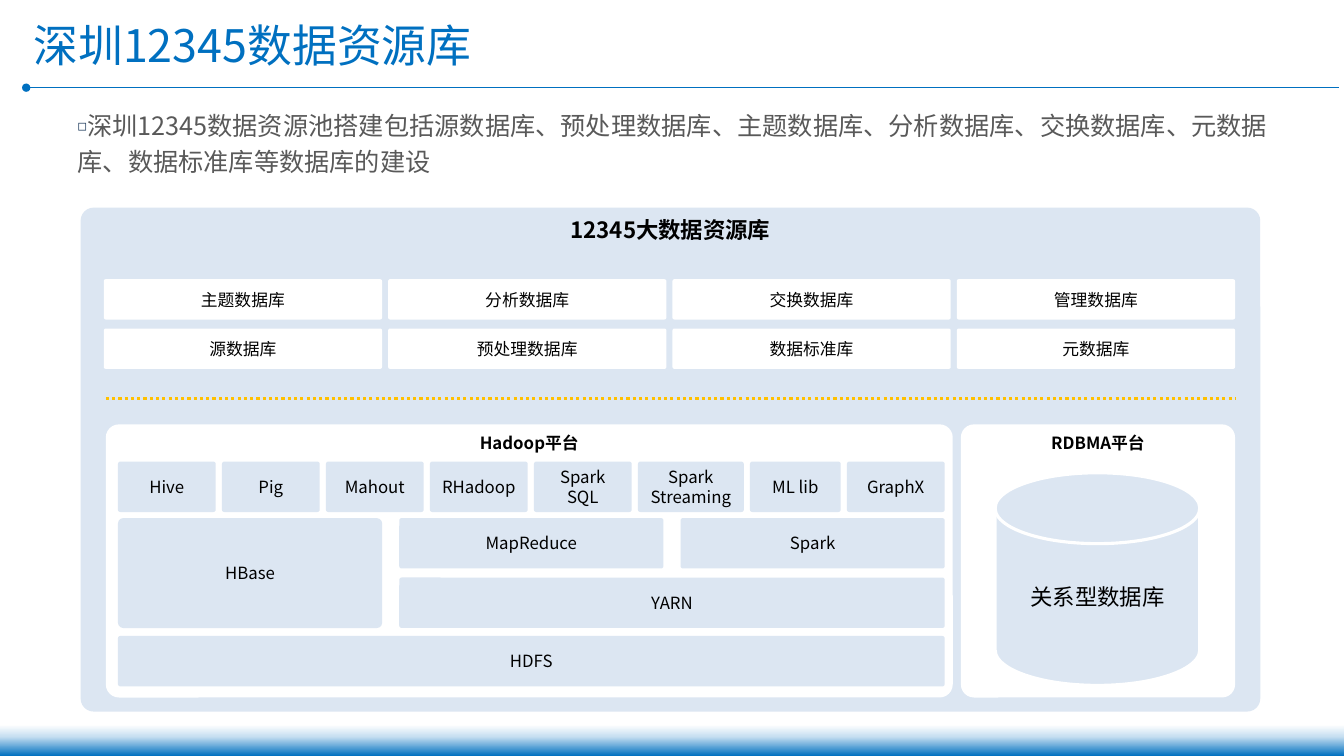
from itertools import accumulate

from lxml.etree import SubElement
from pptx import Presentation
from pptx.dml.color import RGBColor
from pptx.enum.dml import MSO_LINE
from pptx.enum.shapes import MSO_CONNECTOR, MSO_SHAPE
from pptx.enum.text import MSO_ANCHOR as Anchor, MSO_AUTO_SIZE, PP_ALIGN as Align
from pptx.oxml.ns import qn
from pptx.util import Inches, Pt

FONT = "Noto Sans CJK SC"
COLORS = {"blue": "0070C0", "sky": "C7DFF1", "pale": "DCE6F2", "white": "FFFFFF",
          "gold": "FFC000", "black": "000000", "gray": "595959", "navy": "254061"}

TITLE = "深圳12345数据资源库"
SUMMARY = ("深圳12345数据资源池搭建包括源数据库、预处理数据库、主题数据库、分析数据库、"
           "交换数据库、元数据库、数据标准库等数据库的建设")
PANEL = "12345大数据资源库"
DATABASES = [["主题数据库", "分析数据库", "交换数据库", "管理数据库"],
             ["源数据库", "预处理数据库", "数据标准库", "元数据库"]]
HADOOP, RDBMA = "Hadoop平台", "RDBMA平台"
TOOLS = [("Hive", 0.97), ("Pig", 0.97), ("Mahout", 0.97), ("RHadoop", 0.97),
         ("Spark\nSQL", 0.97), ("Spark Streaming", 1.05), ("ML lib", 0.9), ("GraphX", 0.97)]
# name, first column, columns spanned, first row, rows spanned
ENGINES = [("HBase", 0, 1, 1, 2), ("MapReduce", 1, 1, 1, 1), ("Spark", 2, 1, 1, 1),
           ("YARN", 1, 2, 2, 1), ("HDFS", 0, 3, 3, 1)]
RELATIONAL = "关系型数据库"

FOOTER_STOPS = [(0, "white"), (38, "sky"), (100, "blue")]
DATABASE_LEFT, DATABASE_TOP = 1.03, 2.77
DATABASE_WIDTH, DATABASE_HEIGHT = 2.76, 0.4
DATABASE_STEP_X, DATABASE_STEP_Y = 2.82, 0.49
STACK_LEFT, STACK_WIDTH = 1.17, 8.2
STACK_ROWS, STACK_HEIGHT = [4.58, 5.14, 5.73, 6.31], 0.5
ENGINE_WIDTH = 2.62
PLATFORM_TOP, PLATFORM_HEIGHT = 4.21, 2.71


def rgb(name):
    return RGBColor.from_string(COLORS[name])


def write(shape, text, size, color="black", bold=False, align=Align.CENTER,
          anchor=Anchor.MIDDLE):
    frame = shape.text_frame
    frame.word_wrap = True
    frame.auto_size = MSO_AUTO_SIZE.NONE
    frame.vertical_anchor = anchor
    for index, line in enumerate(text.split("\n")):
        paragraph = frame.add_paragraph() if index else frame.paragraphs[0]
        paragraph.alignment = align
        run = paragraph.add_run()
        run.text = line
        run.font.size, run.font.bold, run.font.name = Pt(size), bold, FONT
        run.font.color.rgb = rgb(color)
        SubElement(run.font._element, qn("a:ea"), typeface=FONT)


def place(shape, *box):
    shape.left, shape.top, shape.width, shape.height = map(Inches, box)


def add_box(slide, box, fill, kind=MSO_SHAPE.ROUNDED_RECTANGLE, corner=0.048):
    shape = slide.shapes.add_shape(kind, *map(Inches, box))
    shape.shadow.inherit = False
    shape.fill.solid()
    shape.fill.fore_color.rgb = rgb(fill)
    shape.line.fill.background()
    if kind == MSO_SHAPE.ROUNDED_RECTANGLE:
        shape.adjustments[0] = corner
    return shape


def add_rule(slide, left, right, y, color, width):
    rule = slide.shapes.add_connector(MSO_CONNECTOR.STRAIGHT, *map(Inches, (left, y, right, y)))
    rule.line.color.rgb = rgb(color)
    rule.line.width = Pt(width)
    SubElement(rule._element.spPr, qn("a:effectLst"))
    return rule


def add_footer(slide):
    footer = add_box(slide, (0, 7.19, 13.33, 0.31), "white", MSO_SHAPE.RECTANGLE)
    footer.fill.gradient()
    footer.fill.gradient_angle = 270
    stops = footer._element.spPr.find(".//" + qn("a:gsLst"))
    for stop in list(stops):
        stops.remove(stop)
    for percent, color in FOOTER_STOPS:
        stop = SubElement(stops, qn("a:gs"), pos=str(percent * 1000))
        SubElement(stop, qn("a:srgbClr"), val=COLORS[color])


def add_heading(slide):
    title, summary = slide.placeholders
    place(title, 0.23, 0.09, 12, 0.7)
    write(title, TITLE, 32, "blue", align=Align.LEFT)
    rule = add_rule(slide, 0.26, 13.28, 0.87, "blue", 0.5)
    SubElement(rule.line._get_or_add_ln(), qn("a:headEnd"), type="oval")

    place(summary, 0.67, 0.98, 12, 0.83)
    paragraph = summary.text_frame.paragraphs[0]
    paragraph.line_spacing, paragraph.space_before = 1.2, Pt(0)
    properties = paragraph._p.get_or_add_pPr()
    properties.set("marL", "0")
    properties.set("indent", str(-Inches(0.25)))
    bullet_color = SubElement(properties, qn("a:buClr"))
    SubElement(bullet_color, qn("a:srgbClr"), val=COLORS["navy"])
    SubElement(properties, qn("a:buSzPct"), val="60000")
    SubElement(properties, qn("a:buFont"), typeface=FONT)
    SubElement(properties, qn("a:buChar"), char="◻")
    write(summary, SUMMARY, 18, "gray", align=Align.JUSTIFY, anchor=Anchor.TOP)


def add_databases(slide):
    for row, names in enumerate(DATABASES):
        for column, name in enumerate(names):
            box = (DATABASE_LEFT + column * DATABASE_STEP_X, DATABASE_TOP + row * DATABASE_STEP_Y,
                   DATABASE_WIDTH, DATABASE_HEIGHT)
            write(add_box(slide, box, "white"), name, 12)


def add_platforms(slide):
    for name, left, width in [(HADOOP, 1.05, 8.4), (RDBMA, 9.53, 2.72)]:
        platform = add_box(slide, (left, PLATFORM_TOP, width, PLATFORM_HEIGHT), "white")
        write(platform, name, 12, bold=True, anchor=Anchor.TOP)

    widths = [width for _, width in TOOLS]
    tool_gap = (STACK_WIDTH - sum(widths)) / (len(TOOLS) - 1)
    lefts = accumulate((width + tool_gap for width in widths), initial=STACK_LEFT)
    for (name, width), left in zip(TOOLS, lefts):
        write(add_box(slide, (left, STACK_ROWS[0], width, STACK_HEIGHT), "pale"), name, 12)

    step = (STACK_WIDTH - ENGINE_WIDTH) / 2
    for name, column, columns, row, rows in ENGINES:
        top, last_top = STACK_ROWS[row], STACK_ROWS[row + rows - 1]
        box = (STACK_LEFT + column * step, top,
               ENGINE_WIDTH + (columns - 1) * step, last_top + STACK_HEIGHT - top)
        write(add_box(slide, box, "pale"), name, 12)

    disk = add_box(slide, (9.87, 4.69, 2.03, 2.11), "pale", MSO_SHAPE.FLOWCHART_MAGNETIC_DISK)
    disk.line.color.rgb = rgb("white")
    disk.line.width = Pt(2.25)
    write(disk, RELATIONAL, 16)


def main():
    presentation = Presentation()
    presentation.slide_width, presentation.slide_height = Inches(13.33), Inches(7.5)
    slide = presentation.slides.add_slide(presentation.slide_layouts[1])
    add_footer(slide)
    add_heading(slide)
    panel = add_box(slide, (0.8, 2.06, 11.7, 5), "pale", corner=0.026)
    write(panel, PANEL, 16, bold=True, anchor=Anchor.TOP)
    add_databases(slide)
    add_rule(slide, 1.05, 12.26, 3.95, "gold", 2.25).line.dash_style = MSO_LINE.ROUND_DOT
    add_platforms(slide)
    presentation.save("out.pptx")


if __name__ == "__main__":
    main()
